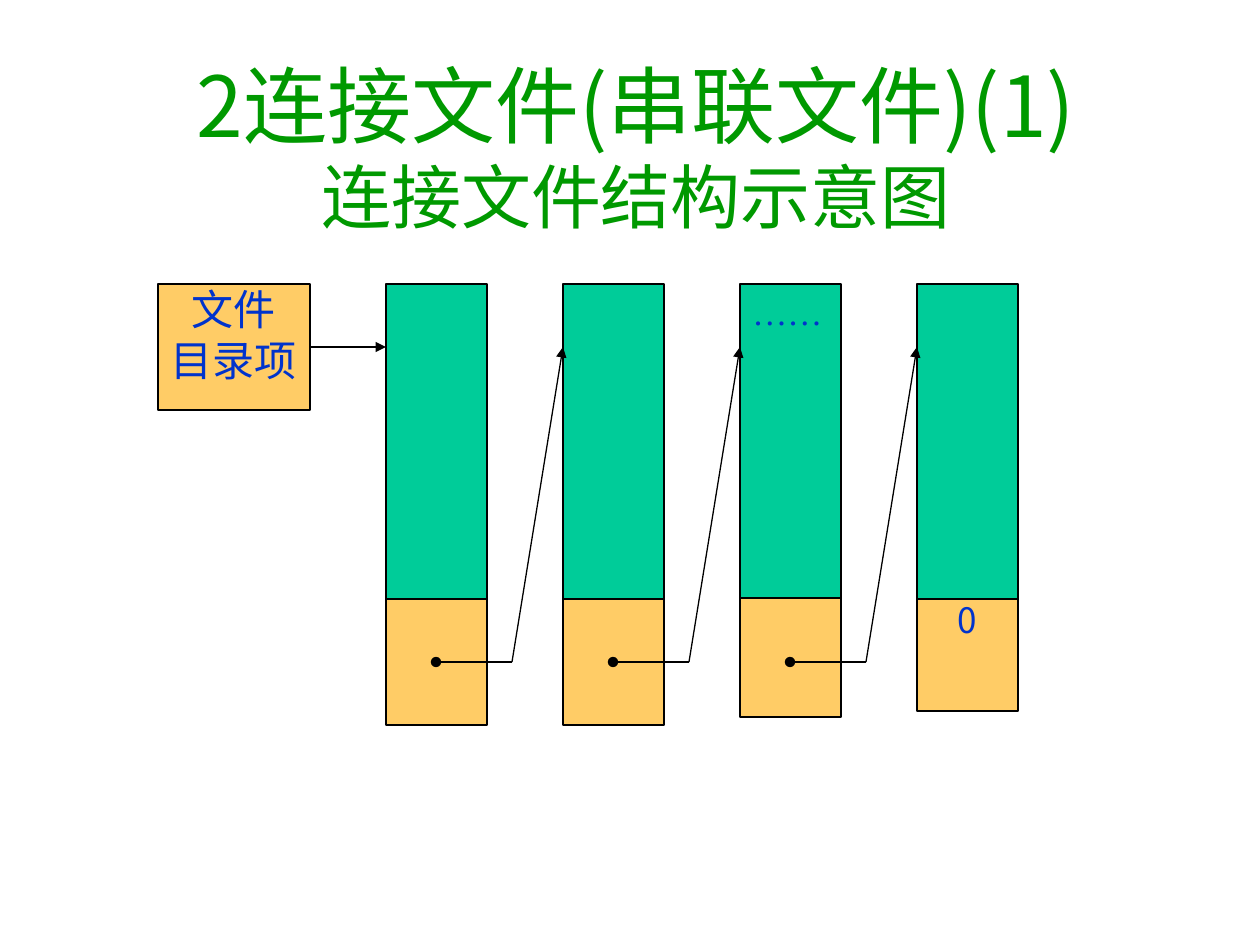
from lxml import etree
from pptx import Presentation
from pptx.dml.color import RGBColor
from pptx.enum.shapes import MSO_CONNECTOR, MSO_SHAPE
from pptx.enum.text import MSO_ANCHOR, PP_ALIGN
from pptx.oxml.ns import qn
from pptx.util import Emu, Pt

RECT = MSO_SHAPE.RECTANGLE
STRAIGHT = MSO_CONNECTOR.STRAIGHT
CENTER, JUSTIFY = PP_ALIGN.CENTER, PP_ALIGN.JUSTIFY
TOP, MIDDLE = MSO_ANCHOR.TOP, MSO_ANCHOR.MIDDLE
RIGHT_SIDE = 3

CJK, LATIN = "Noto Sans CJK JP", "Times New Roman"
GREEN, TEAL, ORANGE = "009900", "00CC99", "FFCC66"
BLUE, BLACK = "0033CC", "000000"
BLOCK_W, DATA_H, LINK_H = 101, 315, 126
ENTRY_Y = 63  # where a pointer enters a block, below its top


def px(length):
    return Emu(round(length * 914400 / 126))


def color(hex_string):
    return RGBColor.from_string(hex_string)


def add_run(paragraph, text, size, tint, font=CJK):
    run = paragraph.add_run()
    run.text = text
    run.font.size = Pt(size)
    run.font.name = font
    run.font.color.rgb = color(tint)
    east_asian = etree.SubElement(run.font._element, qn("a:ea"))
    east_asian.set("typeface", CJK)


def set_insets(frame, left=0, top=0, right=0, bottom=0):
    frame.margin_left, frame.margin_top = px(left), px(top)
    frame.margin_right, frame.margin_bottom = px(right), px(bottom)


def add_cell(slide, box, fill):
    cell = slide.shapes.add_shape(RECT, *map(px, box))
    cell.shadow.inherit = False
    cell.fill.solid()
    cell.fill.fore_color.rgb = color(fill)
    cell.line.color.rgb = color(BLACK)
    cell.line.width = Pt(0.75)
    return cell


def write_label(cell, lines, size):
    frame = cell.text_frame
    frame.vertical_anchor = TOP
    set_insets(frame)
    for index, line in enumerate(lines):
        paragraph = frame.add_paragraph() if index else frame.paragraphs[0]
        paragraph.alignment = CENTER
        add_run(paragraph, line, size, BLUE)


def add_line(slide, start, end, head=None, tail=None):
    line = slide.shapes.add_connector(STRAIGHT, *map(px, start + end))
    line.line.color.rgb = color(BLACK)
    line.line.width = Pt(0.75)
    outline = line.line._get_or_add_ln()
    for tag, kind in (("a:headEnd", head), ("a:tailEnd", tail)):
        if kind:
            etree.SubElement(outline, qn(tag)).set("type", kind)
    etree.SubElement(line._element.spPr, qn("a:effectLst"))
    return line


def add_title(slide, box):
    frame = slide.shapes.add_textbox(*map(px, box)).text_frame
    frame.word_wrap = True
    frame.vertical_anchor = MIDDLE
    set_insets(frame, 13, 6, 13, 90)  # deep bottom inset lifts the heading
    heading = frame.paragraphs[0]
    heading.alignment = CENTER
    add_run(heading, "2连接文件(串联文件)(1)", 48, GREEN)
    heading.add_line_break()
    add_run(heading, "连接文件结构示意图", 40, GREEN)


def add_directory(slide, box):
    directory = add_cell(slide, box, ORANGE)
    write_label(directory, ["文件", "目录项"], 24)
    return directory


def add_block(slide, left, top, link_top=DATA_H, link_h=LINK_H):
    """Data part above, pointer to the next block below."""
    link = add_cell(slide, (left, top + link_top, BLOCK_W, link_h), ORANGE)
    data = add_cell(slide, (left, top, BLOCK_W, DATA_H - (link_top < DATA_H)), TEAL)
    return data, link


def add_pointer(slide, left, top, pitch):
    """Dot in the link cell, then an arrow up to the next block."""
    link_y = top + DATA_H + LINK_H // 2
    bend = (left + BLOCK_W // 2 + 76, link_y)
    add_line(slide, (left + BLOCK_W // 2, link_y), bend, head="oval")
    add_line(slide, bend, (left + pitch, top + ENTRY_Y), tail="triangle")


def add_chain(slide, left, top, pitch, count):
    shapes = {2: {"link_top": 307}, 3: {"link_h": 112}}
    blocks = [add_block(slide, left + i * pitch, top, **shapes.get(i, {}))
              for i in range(count)]
    for i in range(count - 1):
        add_pointer(slide, left + i * pitch, top, pitch)

    # Omitted blocks and end mark
    omitted = blocks[2][0].text_frame
    omitted.vertical_anchor = TOP
    omitted.paragraphs[0].alignment = JUSTIFY
    add_run(omitted.paragraphs[0], "……", 20, BLUE, LATIN)
    write_label(blocks[-1][1], ["0"], 20)


def main():
    deck = Presentation()
    deck.slide_width, deck.slide_height = px(1260), px(945)
    slide = deck.slides.add_slide(deck.slide_layouts[6])
    top, chain_left = 284, 386

    add_title(slide, (44, 91, 1184, 193))
    directory = add_directory(slide, (158, top, 152, 126))
    add_chain(slide, chain_left, top, pitch=177, count=4)
    entry = add_line(slide, (310, top + ENTRY_Y), (chain_left, top + ENTRY_Y),
                     tail="triangle")
    entry.begin_connect(directory, RIGHT_SIDE)
    deck.save("out.pptx")


if __name__ == "__main__":
    main()
